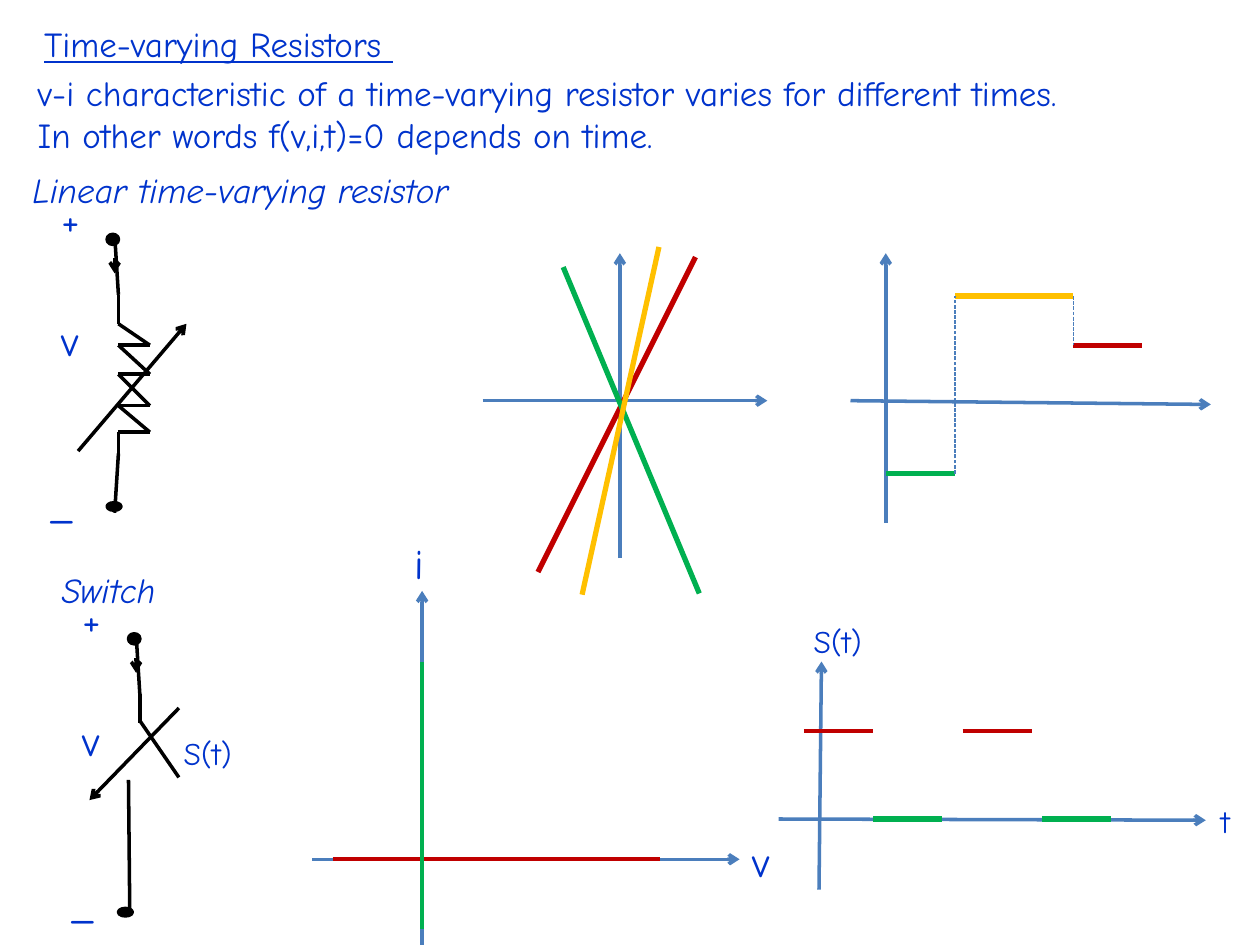
from itertools import pairwise

from lxml import etree
from pptx import Presentation
from pptx.dml.color import RGBColor
from pptx.enum import dml, shapes, text
from pptx.oxml.ns import qn
from pptx.util import Inches, Pt

FONT = "Comic Neue"
INK = RGBColor(0x00, 0x33, 0xCC)
BLACK = RGBColor(0x00, 0x00, 0x00)
AXIS = RGBColor(0x4B, 0x7E, 0xBC)
RED = RGBColor(0xC0, 0x00, 0x00)
GREEN = RGBColor(0x00, 0xB0, 0x50)
GOLD = RGBColor(0xFF, 0xC0, 0x00)


def write(sp, lines, size, italic=False, underline=False, wrap=True):
    tf = sp.text_frame
    tf.word_wrap = wrap
    tf.auto_size = text.MSO_AUTO_SIZE.NONE
    tf.vertical_anchor = text.MSO_ANCHOR.TOP
    for i, line in enumerate(lines):
        p = tf.add_paragraph() if i else tf.paragraphs[0]
        p.alignment = text.PP_ALIGN.LEFT
        r = p.add_run()
        r.text = line
        r.font.name = FONT
        r.font.size = Pt(size)
        r.font.italic = italic
        r.font.underline = underline
        r.font.color.rgb = INK


def add_title(s, content):
    sp = s.shapes.title
    sp.left, sp.top = Inches(0.25), Inches(0.13)
    sp.width, sp.height = Inches(5.3), Inches(0.44)
    write(sp, [content], 20, underline=True)


def add_text(s, x, y, w, h, lines, size=20, **style):
    sp = s.shapes.add_textbox(Inches(x), Inches(y), Inches(w), Inches(h))
    write(sp, lines, size, **style)


def add_label(s, x, y, content, size=24):
    add_text(s, x, y, 0.29, 0.5, [content], size, wrap=False)


def add_line(s, start, end, color=BLACK, width=2, arrow=False, dashed=False):
    sp = s.shapes.add_connector(
        shapes.MSO_CONNECTOR.STRAIGHT, *map(Inches, (*start, *end)))
    sp.line.color.rgb = color
    sp.line.width = Pt(width)
    if dashed:
        sp.line.dash_style = dml.MSO_LINE.SQUARE_DOT
    if arrow:
        etree.SubElement(sp.line._get_or_add_ln(), qn("a:tailEnd"), type="arrow")
    etree.SubElement(sp._element.spPr, qn("a:effectLst"))


def add_path(s, points):
    for start, end in pairwise(points):
        add_line(s, start, end)


def add_axes(s, *axes):
    for start, end in axes:
        add_line(s, start, end, AXIS, arrow=True)


def add_terminal(s, x, y, w, h):
    sp = s.shapes.add_shape(
        shapes.MSO_SHAPE.OVAL, *map(Inches, (x, y, w, h)))
    sp.shadow.inherit = False
    sp.fill.solid()
    sp.fill.fore_color.rgb = BLACK
    sp.line.color.rgb = BLACK
    sp.line.width = Pt(2)


def add_port(s, x, y):
    add_path(s, [(x + 0.06, y), (x + 0.09, y + 0.48), (x + 0.09, y + 0.71)])
    add_terminal(s, x, y, 0.09, 0.08)
    add_line(s, (x + 0.06, y + 0.19), (x + 0.06, y + 0.31), arrow=True)
    for dx, dy, sign in ((-0.46, -0.37, "+"), (-0.54, 1.9, "_"), (-0.46, 0.59, "v")):
        add_label(s, x + dx, y + dy, sign)


def add_resistor(s):
    left, right = 0.94, 1.19
    add_port(s, 0.85, 1.86)
    zigzag = [(left, 2.57)]
    for y in (2.74, 2.97, 3.22, 3.43):
        zigzag += [(right, y), (left, y)]
    add_path(s, zigzag + [(left, 3.6), (0.91, 4.07)])
    add_terminal(s, 0.85, 3.99, 0.11, 0.06)
    add_line(s, (0.62, 3.58), (1.48, 2.57), arrow=True)


def add_switch(s):
    add_port(s, 1.02, 5.03)
    add_line(s, (1.02, 6.19), (1.03, 7.24))
    add_terminal(s, 0.94, 7.21, 0.11, 0.06)
    add_line(s, (1.42, 5.62), (0.71, 6.35), arrow=True)
    add_line(s, (1.11, 5.72), (1.42, 6.17))
    add_label(s, 1.36, 5.78, "S(t)", 18)


def add_resistor_graphs(s):
    add_axes(s, ((4.92, 4.43), (4.92, 2.01)), ((3.83, 3.18), (6.09, 3.18)))
    add_line(s, (4.27, 4.54), (5.52, 2.04), RED, 3)
    add_line(s, (5.55, 4.71), (4.47, 2.12), GREEN, 3)
    add_line(s, (4.62, 4.72), (5.23, 1.96), GOLD, 3)

    add_axes(s, ((7.03, 4.15), (7.03, 2.01)), ((6.75, 3.18), (9.61, 3.21)))
    steps = [(7.03, 7.58, 3.76, GREEN), (7.58, 8.52, 2.35, GOLD),
             (8.52, 9.06, 2.74, RED)]
    for x1, x2, y, color in steps:
        add_line(s, (x1, y), (x2, y), color, 3)
    for (_, x, y1, _), (_, _, y2, _) in pairwise(steps):
        add_line(s, (x, y1), (x, y2), AXIS, 0.75, dashed=True)


def add_switch_graphs(s):
    add_axes(s, ((3.35, 7.5), (3.35, 4.69)), ((2.48, 6.82), (5.87, 6.82)))
    add_label(s, 5.87, 6.58, "v")
    add_label(s, 3.19, 4.22, "i")
    add_line(s, (2.64, 6.82), (5.24, 6.82), RED, 2.5)
    add_line(s, (3.35, 7.37), (3.35, 5.25), GREEN, 2.5)

    add_axes(s, ((6.5, 7.06), (6.52, 5.25)), ((6.18, 6.5), (9.57, 6.51)))
    add_label(s, 9.59, 6.32, "t", 18)
    add_label(s, 6.36, 4.89, "S(t)", 18)
    for x, y, color, width in ((6.38, 5.8, RED, 2), (6.93, 6.5, GREEN, 3),
                               (7.64, 5.8, RED, 2), (8.27, 6.5, GREEN, 3)):
        add_line(s, (x, y), (x + 0.55, y), color, width)


def main():
    prs = Presentation()
    prs.slide_width, prs.slide_height = Inches(10), Inches(7.5)
    s = prs.slides.add_slide(prs.slide_layouts[5])
    add_title(s, "Time-varying Resistors ")
    add_text(s, 0.2, 0.52, 9.7, 0.8, [
        "v-i characteristic of a time-varying resistor varies for different times.",
        "In other words f(v,i,t)=0 depends on time."])
    add_resistor(s)
    add_text(s, 0.16, 1.29, 4.3, 0.44, ["Linear time-varying resistor"], italic=True)
    add_resistor_graphs(s)
    add_text(s, 0.39, 4.46, 1.6, 0.44, ["Switch"], italic=True)
    add_switch(s)
    add_switch_graphs(s)
    prs.save("out.pptx")


if __name__ == "__main__":
    main()
